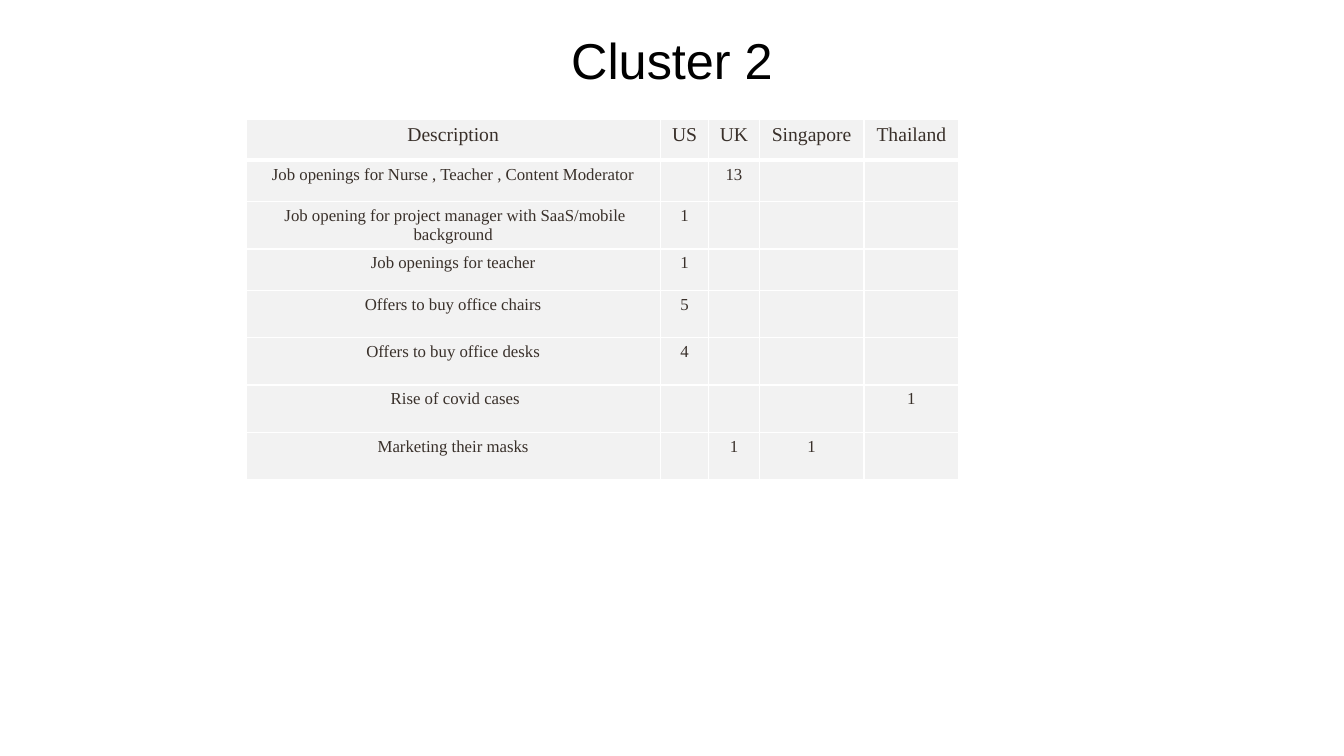
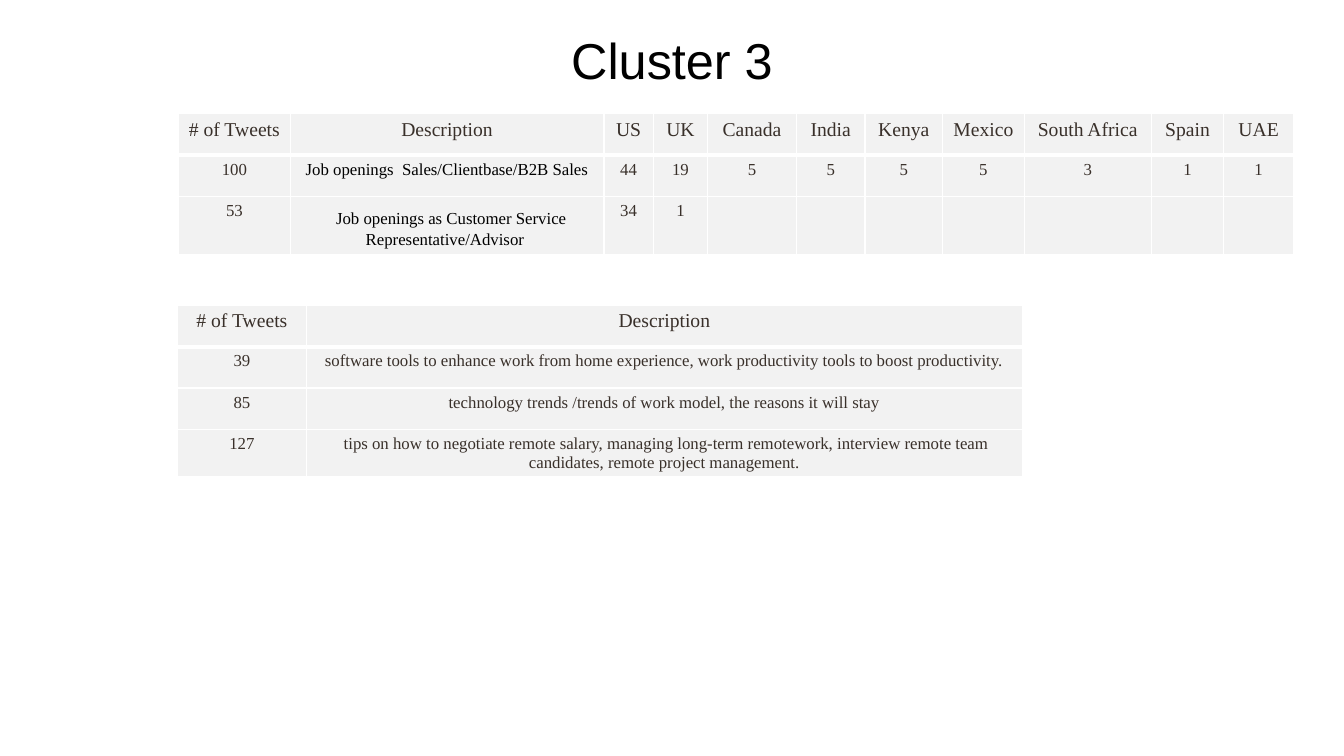
from dataclasses import dataclass

from lxml import etree
from pptx import Presentation
from pptx import util as u
from pptx.dml.color import RGBColor
from pptx.enum import shapes, text
from pptx.oxml import ns

EMU_PER_PX = 9144
PAGE_WIDTH, PAGE_HEIGHT = 1333, 750
WHITE, BLACK, INK, CELL_GREY = "FFFFFF", "000000", "39302A", "F2F2F2"
TITLE_FONT, TABLE_FONT = "Arial", "Times New Roman"
HEADER_SIZE, BODY_SIZE = 14, 12
THIN_BORDER, HEADER_BORDER = 1, 3
CELL_MARGIN = 9


@dataclass(frozen=True)
class Span:
    """Hold a run of table text with its own format."""
    text: str
    size: int = BODY_SIZE
    font: str = TABLE_FONT
    color: str = INK


Cell = str | tuple[Span, ...]


@dataclass(frozen=True)
class Grid:
    """Describe a table by place, column widths, row heights and cells."""
    left: int
    top: int
    columns: list[int]
    heights: list[int]
    rows: list[list[Cell]]


@dataclass(frozen=True)
class Cluster:
    """Describe one slide by its title and tables."""
    title: str
    grids: list[Grid]


CLUSTERS = [
    Cluster("Cluster 2", [
        Grid(244, 118, [411, 48, 50, 104, 94], [41, 41, 47, 41, 47, 47, 47, 47], [
            ["Description", "US", "UK", "Singapore", "Thailand"],
            ["Job openings for Nurse , Teacher , Content Moderator", "", "13", "", ""],
            [" Job opening for project manager with SaaS/mobile background", "1", "", "", ""],
            ["Job openings for teacher", "1", "", "", ""],
            ["Offers to buy office chairs", "5", "", "", ""],
            ["Offers to buy office desks", "4", "", "", ""],
            [" Rise of covid cases", "", "", "", "1"],
            ["Marketing their masks", "", "1", "1", ""],
        ]),
    ]),
    Cluster("Cluster 3", [
        Grid(177, 113, [111, 311, 49, 54, 88, 68, 77, 81, 126, 72, 69], [41, 41, 57], [
            ["# of Tweets", "Description", "US", "UK", "Canada", "India", "Kenya",
             "Mexico", "South Africa", "Spain", "UAE"],
            ["100", (Span("Job openings  Sales/Clientbase/B2B Sales", color=BLACK),),
             "44", "19", "5", "5", "5", "5", "3", "1", "1"],
            ["53", (Span(" ", size=18, font="Comic Neue", color=BLACK),
                    Span("Job openings as Customer Service Representative/Advisor ",
                         color=BLACK)),
             "34", "1"] + [""] * 7,
        ]),
        Grid(176, 303, [128, 710], [41, 41, 41, 47], [
            ["# of Tweets", "Description"],
            ["39", "software tools to enhance work from home experience, "
                   "work productivity tools to boost productivity."],
            ["85", "technology trends /trends of work model, the reasons it will stay"],
            ["127", " tips on how to negotiate remote salary, managing long-term remotework, "
                    "interview remote team candidates, remote project management."],
        ]),
    ]),
]


def px(length: int) -> u.Emu:
    """Turn a length in px into EMU."""
    return u.Emu(length * EMU_PER_PX)


def rgb(color: str) -> RGBColor:
    """Turn a hex string into a colour."""
    return RGBColor.from_string(color)


def write(para, words: str, *, size: int, font: str, color: str) -> None:
    """Add a formatted run to a centred paragraph."""
    para.alignment = text.PP_ALIGN.CENTER
    span = para.add_run()
    span.text = words
    span.font.size = u.Pt(size)
    span.font.name = font
    span.font.bold = False
    span.font.color.rgb = rgb(color)


def set_borders(cell, bottom: int) -> None:
    """Give a cell white borders, with the bottom width in points."""
    properties = cell._tc.get_or_add_tcPr()
    for side in ("lnL", "lnR", "lnT", "lnB"):
        width = bottom if side == "lnB" else THIN_BORDER
        line = etree.SubElement(properties, ns.qn(f"a:{side}"), w=str(u.Pt(width)))
        fill = etree.SubElement(line, ns.qn("a:solidFill"))
        etree.SubElement(fill, ns.qn("a:srgbClr"), val=WHITE)


def fill_cell(cell, content: Cell, is_header: bool) -> None:
    """Format one table cell and write its text."""
    set_borders(cell, HEADER_BORDER if is_header else THIN_BORDER)
    cell.fill.solid()
    cell.fill.fore_color.rgb = rgb(CELL_GREY)
    cell.margin_left = cell.margin_right = px(CELL_MARGIN)
    if isinstance(content, str):
        size = HEADER_SIZE if is_header else BODY_SIZE
        content = (Span(content, size=size),) if content else ()
    for span in content:
        write(cell.text_frame.paragraphs[0], span.text,
              size=span.size, font=span.font, color=span.color)


def add_grid(page, grid: Grid) -> None:
    """Draw one table."""
    frame = page.shapes.add_table(
        len(grid.rows), len(grid.columns), px(grid.left), px(grid.top),
        px(sum(grid.columns)), px(sum(grid.heights)))
    table = frame.table
    table.first_row = table.horz_banding = False
    for column, width in zip(table.columns, grid.columns):
        column.width = px(width)
    for index, (row, height) in enumerate(zip(table.rows, grid.heights)):
        row.height = px(height)
        for cell, content in zip(row.cells, grid.rows[index]):
            fill_cell(cell, content, index == 0)


def add_backdrop(page) -> None:
    """Put a white panel behind everything on the page."""
    panel = page.shapes.add_shape(
        shapes.MSO_SHAPE.RECTANGLE, 0, 0, px(PAGE_WIDTH), px(PAGE_HEIGHT))
    panel.shadow.inherit = False
    panel.fill.solid()
    panel.fill.fore_color.rgb = rgb(WHITE)
    panel.line.fill.background()
    page.shapes.title._element.addprevious(panel._element)


def add_title(page, words: str) -> None:
    """Place and write the slide title."""
    box = page.shapes.title
    box.left, box.top, box.width, box.height = map(px, (70, 37, 1193, 44))
    frame = box.text_frame
    frame.auto_size = text.MSO_AUTO_SIZE.NONE
    frame.vertical_anchor = text.MSO_ANCHOR.MIDDLE
    write(frame.paragraphs[0], words, size=36, font=TITLE_FONT, color=BLACK)


def main() -> None:
    """Build and save the deck."""
    deck = Presentation()
    deck.slide_width, deck.slide_height = px(PAGE_WIDTH), px(PAGE_HEIGHT)
    for cluster in CLUSTERS:
        page = deck.slides.add_slide(deck.slide_layouts.get_by_name("Title Only"))
        add_backdrop(page)
        add_title(page, cluster.title)
        for grid in cluster.grids:
            add_grid(page, grid)
    deck.save("out.pptx")


if __name__ == "__main__":
    main()
